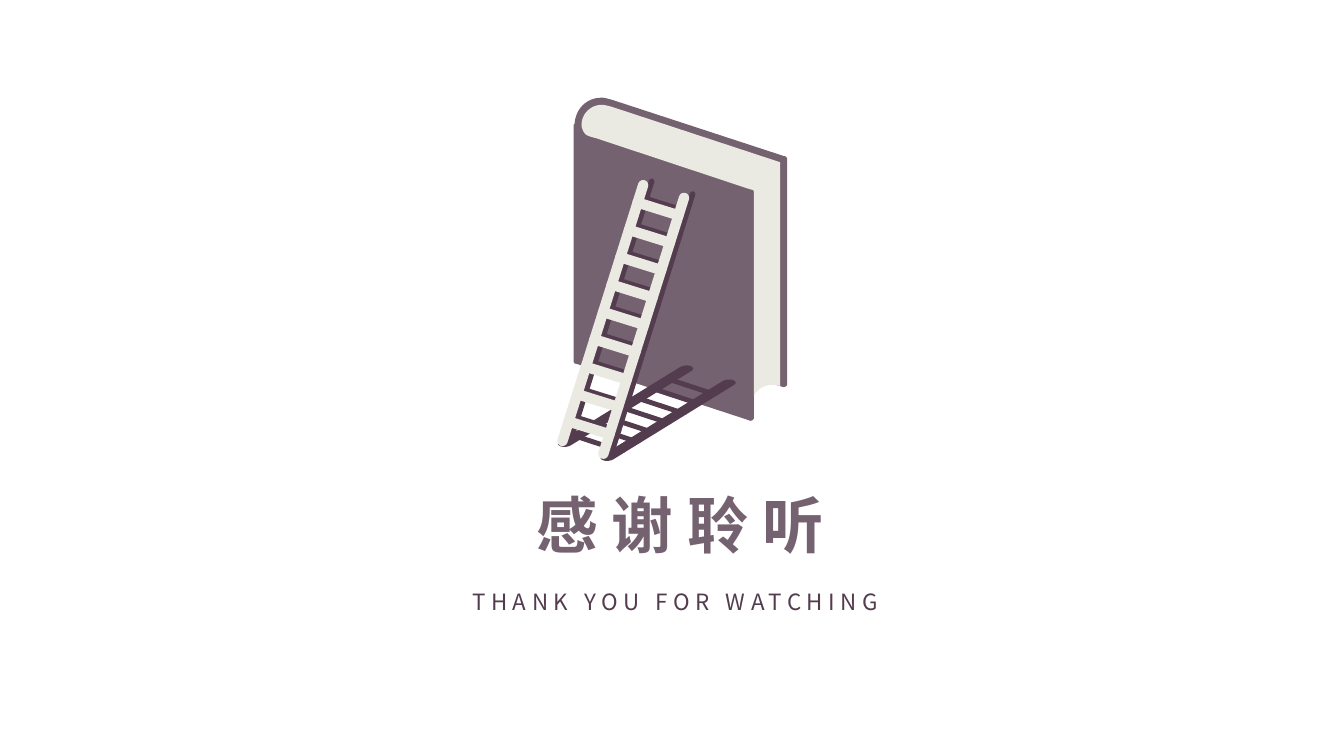
from math import cos, hypot, pi, sin

from lxml import etree
from pptx import Presentation
from pptx.dml.color import RGBColor
from pptx.enum.text import MSO_AUTO_SIZE, PP_ALIGN
from pptx.oxml.ns import qn
from pptx.util import Pt

CENTER = PP_ALIGN.CENTER
GROW = MSO_AUTO_SIZE.SHAPE_TO_FIT_TEXT
FONT = "Noto Sans CJK SC"
MAUVE, PLUM, CREAM = "756271", "543C4F", "EBEAE2"

COVER = [
    (560.2, 111.6), (437, 71.3),
    (434.2, 70.6, 432, 69.8, 429.8, 69.8),
    (419, 69.8, 411.1, 77.8, 410.4, 88.6),
    (409.7, 89.3), (409.7, 257.8),
    (409.7, 259.2, 410.4, 259.9, 411.8, 259.9),
    (535, 300.2),
    (536, 301.2, 538.6, 300.2, 538.6, 298.1),
    (538.6, 270), (559.4, 276.5),
    (560.9, 276.5, 562.3, 275.8, 562.3, 274.3),
    (562.3, 113.8),
    (562.3, 113, 561.6, 111.6, 560.2, 111.6),
]
PAGES = [
    (538.6, 137.5), (538.6, 283),
    (540.7, 277.9, 545.8, 275, 551.5, 275),
    (553, 275, 555.1, 275, 557.3, 275.8),
    (557.3, 115.9), (437, 76.3),
    (434.2, 75.6, 432, 74.9, 429.8, 74.9),
    (421.9, 74.9, 415.4, 81.4, 415.4, 89.3),
    (415.4, 91.4, 416.9, 95, 419, 96.5),
    (421.9, 97.9, 425.5, 98.6, 425.5, 98.6),
    (536.4, 135.4),
    (537.8, 135.4, 538.6, 136.1, 538.6, 137.5),
]


def rgb(color):
    return RGBColor.from_string(color)


def curve_points(start, curve, steps=12):
    controls = [start, curve[:2], curve[2:4], curve[4:]]
    points = []
    for step in range(1, steps + 1):
        t = step / steps
        weights = ((1 - t) ** 3, 3 * t * (1 - t) ** 2, 3 * t * t * (1 - t), t ** 3)
        points.append(tuple(sum(weight * control[axis] for weight, control in zip(weights, controls))
                            for axis in (0, 1)))
    return points


def outline_points(outline):
    points = []
    for part in outline:
        points += [part] if len(part) == 2 else curve_points(points[-1], part)
    return points


def add_polygon(group, points, color):
    vertices = [(Pt(x), Pt(y)) for x, y in points]
    builder = group.shapes.build_freeform(*vertices[0], scale=1)
    builder.add_line_segments(vertices[1:], close=True)
    shape = builder.convert_to_shape()
    shape.shadow.inherit = False
    shape.fill.solid()
    shape.fill.fore_color.rgb = rgb(color)
    shape.line.fill.background()


def add_bar(group, start, end, side, cap, color, steps=8):
    run, rise = end[0] - start[0], end[1] - start[1]
    length = hypot(run, rise)
    tip = (cap * run / length, cap * rise / length)
    points = []
    for center, first_angle in ((end, 0), (start, pi)):
        for step in range(steps + 1):
            angle = first_angle + pi * step / steps
            points.append(tuple(center[axis] + side[axis] * cos(angle) + tip[axis] * sin(angle)
                                for axis in (0, 1)))
    add_polygon(group, points, color)


def add_ladder(group, top, bottom, gap, rungs, rail_style, rung_style, color):
    def across(point):
        return point[0] + gap[0], point[1] + gap[1]

    def add_rungs():
        first, spacing, count = rungs
        for index in range(count):
            share = first + spacing * index
            left = tuple(a + (b - a) * share for a, b in zip(top, bottom))
            add_bar(group, left, across(left), *rung_style, color)

    add_bar(group, bottom, top, *rail_style, color)
    add_bar(group, across(bottom), across(top), *rail_style, color)
    add_rungs()


def add_leaning_ladder(group, top, bottom, radius, color):
    rail_style = ((radius * 0.95, radius * 0.3), radius)
    rung_style = ((radius * 0.3, -radius * 0.95), radius)
    add_ladder(group, top, bottom, (29.2, 9.1), (0.068, 0.107, 9), rail_style, rung_style, color)


def add_floor_shadow(group):
    add_ladder(group, (490, 263.5), (403.6, 316.8), (30.4, 10), (0.14, 0.1275, 7),
               ((4, 1.4), 3.8), ((1.8, -1.25), 4.2), PLUM)


def add_text(slide, left, top, width, height, text, size, color, bold=False, spacing=0):
    box = slide.shapes.add_textbox(Pt(left), Pt(top), Pt(width), Pt(height))
    frame = box.text_frame
    frame.text = text
    frame.word_wrap = False
    frame.auto_size = GROW
    paragraph = frame.paragraphs[0]
    paragraph.alignment = CENTER
    run = paragraph.runs[0]
    run.font.size = Pt(size)
    run.font.bold = bold
    run.font.name = FONT
    run.font.color.rgb = rgb(color)
    properties = run._r.get_or_add_rPr()
    etree.SubElement(properties, qn("a:ea")).set("typeface", FONT)
    if spacing:
        properties.set("spc", str(spacing * 100))


def main():
    presentation = Presentation()
    presentation.slide_width, presentation.slide_height = Pt(960), Pt(540)
    slide = presentation.slides.add_slide(presentation.slide_layouts[6])

    add_text(slide, 370, 344.2, 232, 60.5, "感 谢 聆 听", 44, MAUVE, bold=True)
    add_text(slide, 316, 416.9, 333, 26.6, "THANK YOU FOR WATCHING", 16, PLUM, spacing=4)

    book = slide.shapes.add_group_shape()
    add_polygon(book, outline_points(COVER), MAUVE)
    add_leaning_ladder(book, (465.5, 129.6), (408.2, 312.5), 2, PLUM)
    add_floor_shadow(book)
    add_leaning_ladder(book, (459.4, 132.3), (401.8, 315), 3.7, CREAM)
    add_polygon(book, outline_points(PAGES), CREAM)

    presentation.save("out.pptx")


main()
